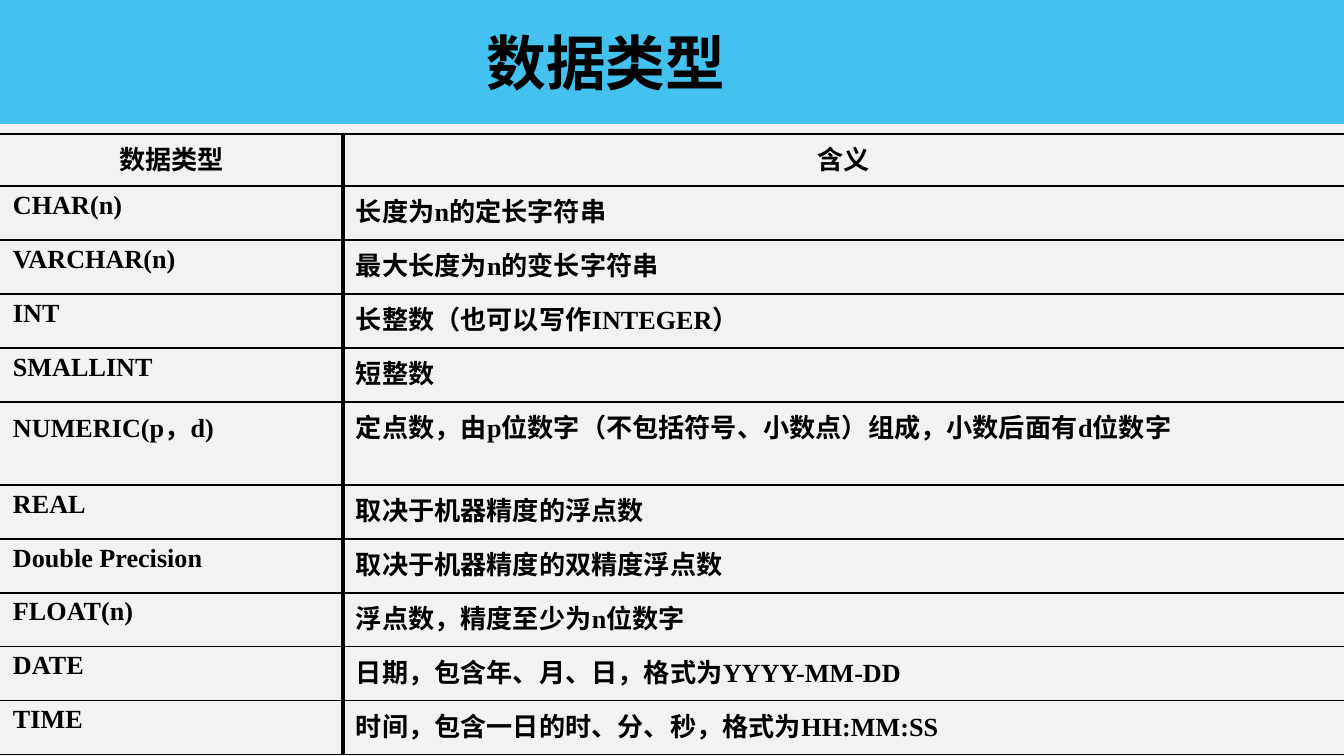
"""Build a slide with a table of SQL data types and their meanings."""
import pptx
import pptx.dml.color
import pptx.enum.shapes
import pptx.enum.text
import pptx.oxml.xmlchemy
import pptx.oxml.ns
import pptx.util
import lxml.etree

PX = 914400 / 134.4
COLORS = {"background": "F2F2F2", "banner": "00B0F0", "ink": "000000"}
ROWS = [
    ("数据类型", "含义"),
    ("CHAR(n)", "长度为n的定长字符串"),
    ("VARCHAR(n)", "最大长度为n的变长字符串"),
    ("INT", "长整数（也可以写作INTEGER）"),
    ("SMALLINT", "短整数"),
    ("NUMERIC(p，d)", "定点数，由p位数字（不包括符号、小数点）组成，小数后面有d位数字"),
    ("REAL", "取决于机器精度的浮点数"),
    ("Double Precision", "取决于机器精度的双精度浮点数"),
    ("FLOAT(n)", "浮点数，精度至少为n位数字"),
    ("DATE", "日期，包含年、月、日，格式为YYYY-MM-DD"),
    ("TIME", "时间，包含一日的时、分、秒，格式为HH:MM:SS"),
]
COLUMN_WIDTHS = [343, 1001]
ROW_HEIGHTS = [52] + [54] * 4 + [83] + [54] * 5
CENTER = pptx.enum.text.PP_ALIGN.CENTER
LEFT = pptx.enum.text.PP_ALIGN.LEFT
TITLE_FONT = {"name": "Roboto", "size": pptx.util.Pt(32), "bold": True}
CELL_FONT = {"name": "Times New Roman", "size": pptx.util.Pt(14), "bold": True}
CELL_FORMAT = {
    "margin_left": round(13 * PX),
    "margin_right": round(13 * PX),
    "margin_top": round(5 * PX),
    "margin_bottom": round(5 * PX),
    "vertical_anchor": pptx.enum.text.MSO_ANCHOR.TOP,
}


def write(paragraph, text, font_format, alignment):
    run = paragraph.add_run()
    run.text = text
    paragraph.alignment = alignment
    for name, value in font_format.items():
        setattr(run.font, name, value)
    run.font.color.rgb = pptx.dml.color.RGBColor.from_string(COLORS["ink"])


def set_borders(cell, widths):
    properties = cell._tc.get_or_add_tcPr()
    for position, (side, points) in enumerate(widths.items()):
        line = lxml.etree.Element(pptx.oxml.ns.qn(f"a:ln{side}"), w=str(pptx.util.Pt(points)))
        if points:
            fill = lxml.etree.SubElement(line, pptx.oxml.ns.qn("a:solidFill"))
            lxml.etree.SubElement(fill, pptx.oxml.ns.qn("a:srgbClr"), val=COLORS["ink"])
        else:
            lxml.etree.SubElement(line, pptx.oxml.ns.qn("a:noFill"))
        properties.insert(position, line)


presentation = pptx.Presentation()
presentation.slide_width = round(1344 * PX)
presentation.slide_height = round(756 * PX)
slide = presentation.slides.add_slide(presentation.slide_layouts[6])
slide.background.fill.solid()
slide.background.fill.fore_color.rgb = pptx.dml.color.RGBColor.from_string(COLORS["background"])

banner = slide.shapes.add_shape(
    pptx.enum.shapes.MSO_SHAPE.RECTANGLE, round(-1 * PX), 0, round(1345 * PX), round(124 * PX)
)
banner.shadow.inherit = False
banner.line.fill.background()
banner.fill.solid()
banner.fill.fore_color.rgb = pptx.dml.color.RGBColor.from_string(COLORS["banner"])
banner_color = banner._element.spPr.find(".//" + pptx.oxml.ns.qn("a:srgbClr"))
lxml.etree.SubElement(banner_color, pptx.oxml.ns.qn("a:alpha"), val="72000")

table_frame = slide.shapes.add_table(
    len(ROWS), len(COLUMN_WIDTHS), 0, round(134 * PX),
    round(sum(COLUMN_WIDTHS) * PX), round(sum(ROW_HEIGHTS) * PX),
)
table = table_frame.table
table.first_row = False
table.horz_banding = False
for column, width in zip(table.columns, COLUMN_WIDTHS):
    column.width = round(width * PX)
for row_index, (texts, height) in enumerate(zip(ROWS, ROW_HEIGHTS)):
    table.rows[row_index].height = round(height * PX)
    for column_index, text in enumerate(texts):
        cell = table.cell(row_index, column_index)
        for name, value in CELL_FORMAT.items():
            setattr(cell, name, value)
        cell.fill.background()
        set_borders(cell, {
            "L": 2.25 * column_index, "R": 2.25 * (1 - column_index), "T": 1, "B": 1,
        })
        paragraph = cell.text_frame.paragraphs[0]
        write(paragraph, text, CELL_FONT, LEFT if row_index else CENTER)
        paragraph_properties = paragraph._p.get_or_add_pPr()
        paragraph_properties.set("marL", str(round(51 * PX)))
        paragraph_properties.set("indent", str(round(-51 * PX)))

title = slide.shapes.add_textbox(0, 0, round(1212 * PX), round(124 * PX))
title.text_frame.word_wrap = True
title.text_frame.vertical_anchor = pptx.enum.text.MSO_ANCHOR.MIDDLE
write(title.text_frame.paragraphs[0], ROWS[0][0], TITLE_FONT, CENTER)

presentation.save("out.pptx")
